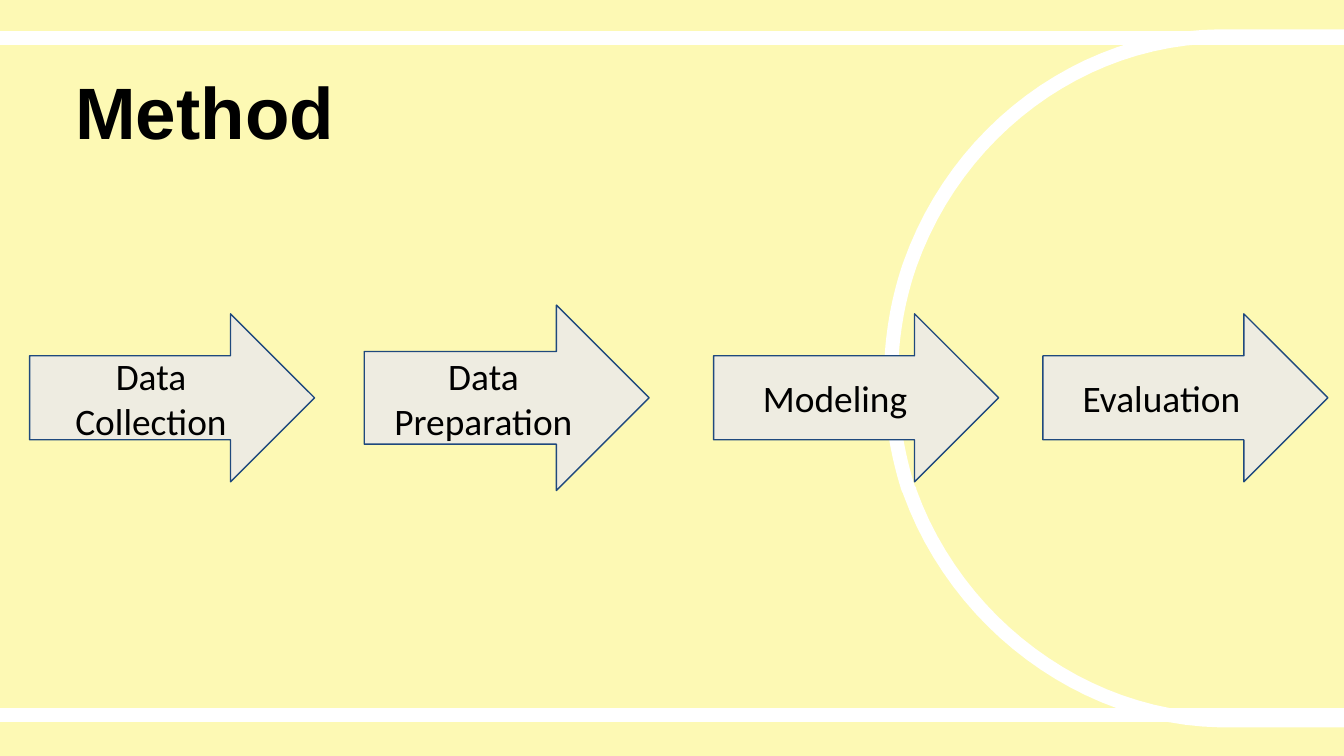
from dataclasses import dataclass

from lxml import etree
from pptx import Presentation, util as u
from pptx.dml.color import RGBColor
from pptx.enum import shapes, text
from pptx.oxml import ns


@dataclass(frozen=True)
class Theme:
    background: RGBColor = RGBColor.from_string("FDF9B4")
    court_line: RGBColor = RGBColor.from_string("FFFFFF")
    arrow_fill: RGBColor = RGBColor.from_string("EEECE1")
    arrow_line: RGBColor = RGBColor.from_string("1F497D")
    ink: RGBColor = RGBColor.from_string("000000")
    title_font: str = "Arial"
    body_font: str = "Calibri"
    title_size: u.Pt = u.Pt(39)
    body_size: u.Pt = u.Pt(20)
    small_size: u.Pt = u.Pt(14)
    court_width: u.Pt = u.Pt(7.5)
    arrow_width: u.Pt = u.Pt(0.75)


theme = Theme()


def add_run(paragraph, wording, font_name, size, bold=False):
    run = paragraph.add_run()
    run.text = wording
    run.font.name = font_name
    run.font.size = size
    run.font.bold = bold
    run.font.color.rgb = theme.ink


def curve_points(start, control_1, control_2, end, steps=24):
    """Points along a cubic curve, without its start."""
    points = []
    for step in range(1, steps + 1):
        t = step / steps
        weights = ((1 - t) ** 3, 3 * t * (1 - t) ** 2, 3 * t ** 2 * (1 - t), t ** 3)
        corners = (start, control_1, control_2, end)
        points.append(tuple(sum(w * c[axis] for w, c in zip(weights, corners))
                            for axis in (0, 1)))
    return points


# 16:9 slide
presentation = Presentation()
presentation.slide_width = u.Inches(10)
presentation.slide_height = u.Inches(10 * 9 / 16)
slide = presentation.slides.add_slide(presentation.slide_layouts[6])
slide.background.fill.solid()
slide.background.fill.fore_color.rgb = theme.background

# Court arc: curves closed by straight sides past the right edge
outline = [(6.77, 1.97)]
for curve in (
    ((6.68, 2.23), (6.63, 2.52), (6.63, 2.81)),
    ((6.63, 3.11), (6.68, 3.39), (6.76, 3.64)),
    ((6.77, 3.65), (6.77, 3.65), (6.77, 3.66)),
    ((7.12, 4.63), (8.05, 5.34), (9.08, 5.36)),
):
    outline += curve_points(outline[-1], *curve)
outline += [(10.2, 5.36), (10.2, 0.27), (9.08, 0.27)]
outline += curve_points(outline[-1], (8.04, 0.28), (7.12, 0.98), outline[0])

# The builder rounds to whole units, so points are given in EMU
outline = [(u.Inches(x), u.Inches(y)) for x, y in outline]
builder = slide.shapes.build_freeform(*outline[0])
builder.add_line_segments(outline[1:], close=True)
arc = builder.convert_to_shape()
arc.shadow.inherit = False
arc.fill.background()
arc.line.color.rgb = theme.court_line
arc.line.width = theme.court_width

# Top and bottom court lines
for y in (0.28, 5.32):
    court_line = slide.shapes.add_connector(
        shapes.MSO_CONNECTOR.STRAIGHT,
        u.Inches(0), u.Inches(y), u.Inches(10), u.Inches(y))
    court_line.line.color.rgb = theme.court_line
    court_line.line.width = theme.court_width
    etree.SubElement(court_line._element.spPr, ns.qn("a:effectLst"))

# Title
title = slide.shapes.add_textbox(
    u.Inches(0.56), u.Inches(0.33), u.Inches(6.75), u.Inches(0.66))
frame = title.text_frame
frame.word_wrap = True
frame.auto_size = text.MSO_AUTO_SIZE.SHAPE_TO_FIT_TEXT
frame.margin_left = frame.margin_right = frame.margin_top = frame.margin_bottom = 0
frame.paragraphs[0].line_spacing = 1.26
add_run(frame.paragraphs[0], "Method", theme.title_font, theme.title_size, bold=True)

# Process arrows, centred on one axis: runs, left, height
arrow_axis = 2.96
for runs, left, height in (
    ([("Data Collection", theme.body_size)], 0.22, 1.25),
    ([("Data Preparation", theme.body_size)], 2.71, 1.38),
    ([("Modeling", theme.body_size)], 5.31, 1.25),
    ([("Evaluation", theme.body_size), (" ", theme.small_size)], 7.76, 1.25),
):
    arrow = slide.shapes.add_shape(
        shapes.MSO_SHAPE.RIGHT_ARROW, u.Inches(left),
        u.Inches(arrow_axis - height / 2), u.Inches(2.12), u.Inches(height))
    arrow.shadow.inherit = False
    arrow.fill.solid()
    arrow.fill.fore_color.rgb = theme.arrow_fill
    arrow.line.color.rgb = theme.arrow_line
    arrow.line.width = theme.arrow_width
    frame = arrow.text_frame
    frame.word_wrap = True
    frame.vertical_anchor = text.MSO_ANCHOR.MIDDLE
    frame.margin_left = frame.margin_right = u.Inches(0.1)
    frame.margin_top = frame.margin_bottom = u.Inches(0.1)
    paragraph = frame.paragraphs[0]
    paragraph.alignment = text.PP_ALIGN.CENTER
    for wording, size in runs:
        add_run(paragraph, wording, theme.body_font, size)

presentation.save("out.pptx")
